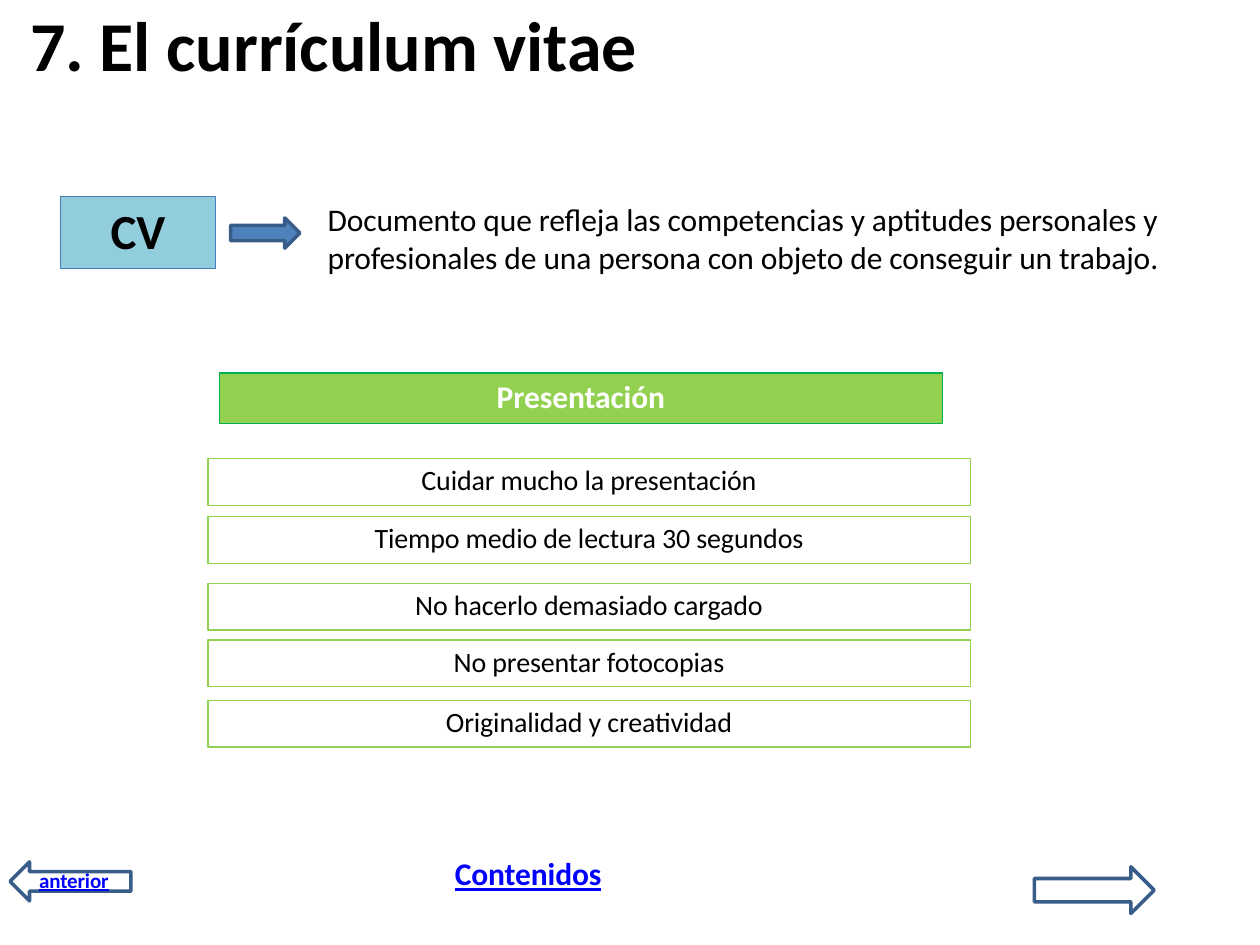
from dataclasses import dataclass
from typing import Optional

import pptx
import pptx.dml.color
import pptx.enum.shapes
import pptx.enum.text
import pptx.util
from pptx.util import Inches

RGBColor = pptx.dml.color.RGBColor
MSO_SHAPE = pptx.enum.shapes.MSO_SHAPE
PP_ALIGN = pptx.enum.text.PP_ALIGN
MSO_ANCHOR = pptx.enum.text.MSO_ANCHOR

BLACK = RGBColor(0x00, 0x00, 0x00)
WHITE = RGBColor(0xFF, 0xFF, 0xFF)
LINK_BLUE = RGBColor(0x00, 0x00, 0xFF)
SKY = RGBColor(0x92, 0xCD, 0xDD)
SKY_EDGE = RGBColor(0x49, 0x7D, 0xBA)
LIME = RGBColor(0x92, 0xD0, 0x50)
GREEN = RGBColor(0x00, 0xAF, 0x50)
ARROW_BLUE = RGBColor(0x4F, 0x81, 0xBC)
ARROW_EDGE = RGBColor(0x38, 0x5D, 0x89)


@dataclass
class Box:
    left: float
    top: float
    width: float
    height: float


@dataclass
class Style:
    size: float
    color: RGBColor = BLACK
    bold: bool = False
    underline: bool = False
    leading: Optional[float] = None


@dataclass
class Panel:
    box: Box
    text: str
    style: Style
    line: RGBColor
    fill: Optional[RGBColor] = None


@dataclass
class Label:
    box: Box
    lines: list[str]
    style: Style


@dataclass
class Arrow:
    box: Box
    kind: MSO_SHAPE
    fill: Optional[RGBColor] = None


def place(sp, box: Box) -> None:
    sp.left, sp.top = Inches(box.left), Inches(box.top)
    sp.width, sp.height = Inches(box.width), Inches(box.height)


def write(sp, lines: list[str], style: Style, align=PP_ALIGN.LEFT,
          anchor=MSO_ANCHOR.TOP, bottom: float = 0, wrap: bool = False) -> None:
    tf = sp.text_frame
    tf.word_wrap = wrap
    tf.vertical_anchor = anchor
    tf.margin_left = tf.margin_right = tf.margin_top = 0
    tf.margin_bottom = Inches(bottom)
    for i, line in enumerate(lines):
        p = tf.add_paragraph() if i else tf.paragraphs[0]
        p.alignment = align
        p.space_before = pptx.util.Pt(0)
        p.line_spacing = pptx.util.Pt(style.leading) if style.leading else 1.0
        r = p.add_run()
        r.text = line
        r.font.name = "Calibri"
        r.font.size = pptx.util.Pt(style.size)
        r.font.bold = style.bold
        r.font.underline = style.underline
        r.font.color.rgb = style.color
        r.font._element.set("spc", "-5")


def draw_shape(s, kind, box: Box, fill: Optional[RGBColor], line: RGBColor, weight: float):
    sp = s.shapes.add_shape(kind, 0, 0, 0, 0)
    place(sp, box)
    sp.shadow.inherit = False
    if fill is None:
        sp.fill.background()
    else:
        sp.fill.solid()
        sp.fill.fore_color.rgb = fill
    sp.line.color.rgb = line
    sp.line.width = pptx.util.Pt(weight)
    return sp


def draw_panel(s, panel: Panel) -> None:
    sp = draw_shape(s, MSO_SHAPE.RECTANGLE, panel.box, panel.fill, panel.line, 0.72)
    write(sp, [panel.text], panel.style, PP_ALIGN.CENTER, MSO_ANCHOR.MIDDLE, 0.04, True)


def draw_label(s, label: Label) -> None:
    sp = s.shapes.add_textbox(0, 0, 0, 0)
    place(sp, label.box)
    write(sp, label.lines, label.style)


def draw_arrow(s, arrow: Arrow) -> None:
    draw_shape(s, arrow.kind, arrow.box, arrow.fill, ARROW_EDGE, 2.04)


TITLE_STYLE = Style(40, bold=True)
TIP_STYLE = Style(16)

PANELS = [
    Panel(Box(0.48, 1.56, 1.23, 0.57), "CV", Style(28, bold=True), SKY_EDGE, SKY),
    Panel(Box(1.74, 2.96, 5.74, 0.4), "Presentación", Style(18, WHITE, True), GREEN, LIME),
]
TIPS = [
    (3.64, "Cuidar mucho la presentación"),
    (4.1, "Tiempo medio de lectura 30 segundos"),
    (4.63, "No hacerlo demasiado cargado"),
    (5.08, "No presentar fotocopias"),
    (5.56, "Originalidad y creatividad"),
]
ARROWS = [
    Arrow(Box(1.83, 1.73, 0.55, 0.24), MSO_SHAPE.RIGHT_ARROW, ARROW_BLUE),
    Arrow(Box(0.08, 6.84, 0.96, 0.31), MSO_SHAPE.LEFT_ARROW),
    Arrow(Box(8.21, 6.88, 0.95, 0.37), MSO_SHAPE.RIGHT_ARROW),
]
LABELS = [
    Label(Box(2.6, 1.59, 6.68, 0.63),
          ["Documento que refleja las competencias y aptitudes personales y",
           "profesionales de una persona con objeto de conseguir un trabajo."],
          Style(18)),
    Label(Box(3.61, 6.83, 1.2, 0.28), ["Contenidos"], Style(18, LINK_BLUE, True, True, 18.1)),
    Label(Box(0.31, 6.91, 0.59, 0.19), ["anterior"], Style(12, LINK_BLUE, True, True, 12.4)),
]


def main() -> None:
    prs = pptx.Presentation()
    prs.slide_width, prs.slide_height = Inches(10), Inches(7.5)
    s = prs.slides.add_slide(prs.slide_layouts[5])
    title = s.shapes.title
    place(title, Box(0.24, 0.01, 4.86, 0.69))
    write(title, ["7. El currículum vitae"], TITLE_STYLE)
    for panel in PANELS:
        draw_panel(s, panel)
    for top, text in TIPS:
        draw_panel(s, Panel(Box(1.65, top, 6.05, 0.37), text, TIP_STYLE, LIME))
    for arrow in ARROWS:
        draw_arrow(s, arrow)
    for label in LABELS:
        draw_label(s, label)
    prs.save("out.pptx")


if __name__ == "__main__":
    main()
